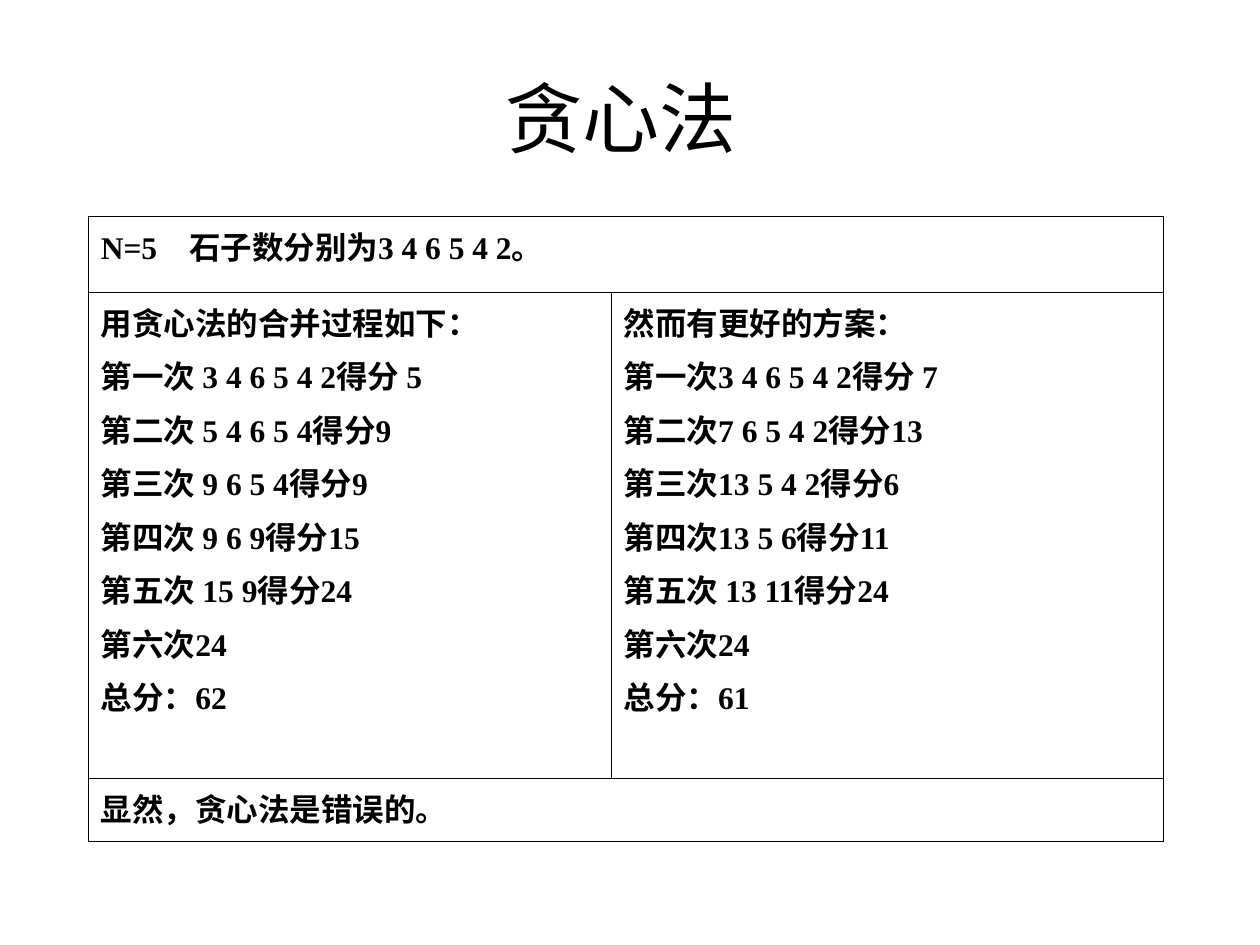
from lxml.etree import SubElement
from pptx import Presentation
from pptx.dml.color import RGBColor
from pptx.enum.text import MSO_ANCHOR, PP_ALIGN
from pptx.oxml.ns import qn
from pptx.util import Inches, Pt

BLACK = RGBColor(0x00, 0x00, 0x00)
TITLE_FONT = "Calibri"
BODY_FONT = "Times New Roman"

COLUMN_WIDTHS = (4.15, 4.38)
ROW_HEIGHTS = (0.6, 3.86, 0.5)
TABLE_LEFT, TABLE_TOP = 0.7, 1.72

PROBLEM = ["N=5\t石子数分别为3 4 6 5 4 2。"]
GREEDY_STEPS = [
    "用贪心法的合并过程如下：",
    "第一次 3 4 6 5 4 2得分 5",
    "第二次 5 4 6 5 4得分9",
    "第三次 9 6 5 4得分9",
    "第四次 9 6 9得分15",
    "第五次 15 9得分24",
    "第六次24",
    "总分：62",
]
BETTER_STEPS = [
    "然而有更好的方案：",
    "第一次3 4 6 5 4 2得分 7",
    "第二次7 6 5 4 2得分13",
    "第三次13 5 4 2得分6",
    "第四次13 5 6得分11",
    "第五次 13 11得分24",
    "第六次24",
    "总分：61",
]
CONCLUSION = ["显然，贪心法是错误的。"]


def style_font(paragraph, name, size, bold=False):
    font = paragraph.font
    font.name, font.size, font.bold = name, Pt(size), bold
    font.color.rgb = BLACK


def add_tab_stop(paragraph, position):
    stops = SubElement(paragraph._p.get_or_add_pPr(), qn("a:tabLst"))
    SubElement(stops, qn("a:tab"), pos=str(Inches(position)), algn="l")


def add_title(slide, text):
    box = slide.shapes.add_textbox(Inches(0.5), Inches(0.3), Inches(9), Inches(1.25))
    frame = box.text_frame
    frame.word_wrap = True
    frame.vertical_anchor = MSO_ANCHOR.MIDDLE
    heading = frame.paragraphs[0]
    heading.text = text
    heading.alignment = PP_ALIGN.CENTER
    style_font(heading, TITLE_FONT, 44)


def outline_cell(cell):
    properties = cell._tc.get_or_add_tcPr()
    for side in ("a:lnL", "a:lnR", "a:lnT", "a:lnB"):
        border = SubElement(properties, qn(side), w=str(Pt(0.45)))
        fill = SubElement(border, qn("a:solidFill"))
        SubElement(fill, qn("a:srgbClr"), val=str(BLACK))
    cell.fill.background()


def fill_cell(cell, lines):
    frame = cell.text_frame
    for index, line in enumerate(lines):
        paragraph = frame.add_paragraph() if index else frame.paragraphs[0]
        paragraph.text = line
        if index:
            paragraph.space_before = Pt(4.5)
        if "\t" in line:
            add_tab_stop(paragraph, 0.7)
        style_font(paragraph, BODY_FONT, 18, bold=True)


def add_comparison(slide):
    table = slide.shapes.add_table(
        len(ROW_HEIGHTS), len(COLUMN_WIDTHS),
        Inches(TABLE_LEFT), Inches(TABLE_TOP),
        Inches(sum(COLUMN_WIDTHS)), Inches(sum(ROW_HEIGHTS)),
    ).table
    table.first_row = table.horz_banding = False
    for column, width in zip(table.columns, COLUMN_WIDTHS):
        column.width = Inches(width)
    for row, height in zip(table.rows, ROW_HEIGHTS):
        row.height = Inches(height)
    for cell in table.iter_cells():
        outline_cell(cell)

    # Problem and conclusion span both columns
    for row, lines in ((0, PROBLEM), (2, CONCLUSION)):
        table.cell(row, 0).merge(table.cell(row, 1))
        fill_cell(table.cell(row, 0), lines)

    # The two merge orders side by side
    for column, steps in enumerate((GREEDY_STEPS, BETTER_STEPS)):
        fill_cell(table.cell(1, column), steps)


def main():
    deck = Presentation()
    deck.slide_width, deck.slide_height = Inches(10), Inches(7.5)
    slide = deck.slides.add_slide(deck.slide_layouts[6])
    add_title(slide, "贪心法 ")
    add_comparison(slide)
    deck.save("out.pptx")


if __name__ == "__main__":
    main()
